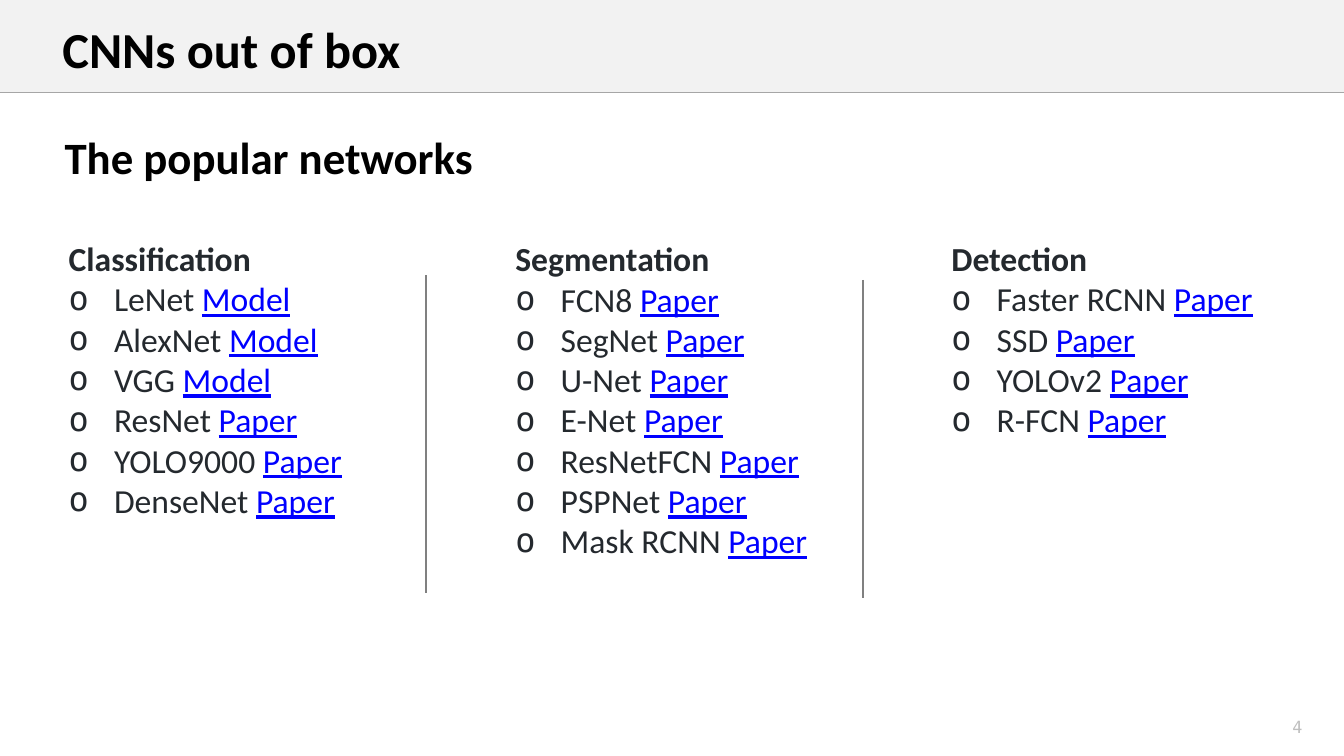
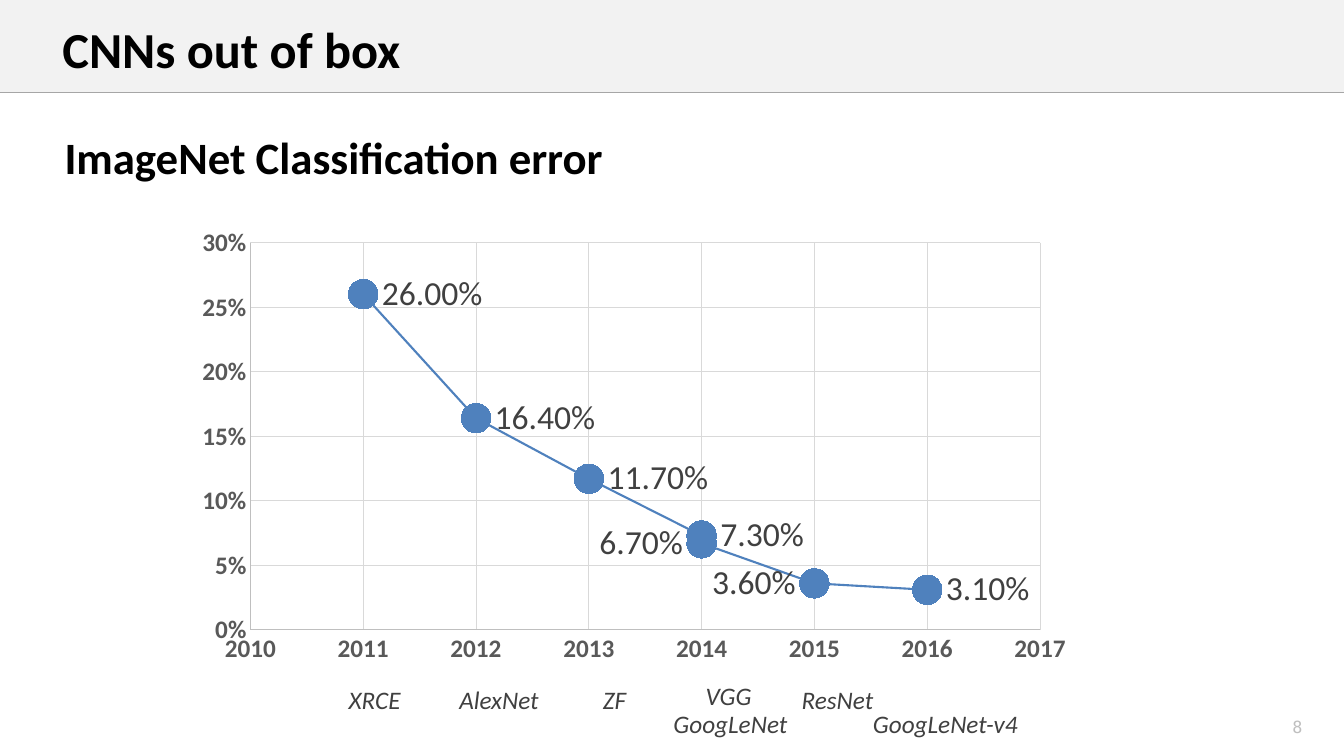
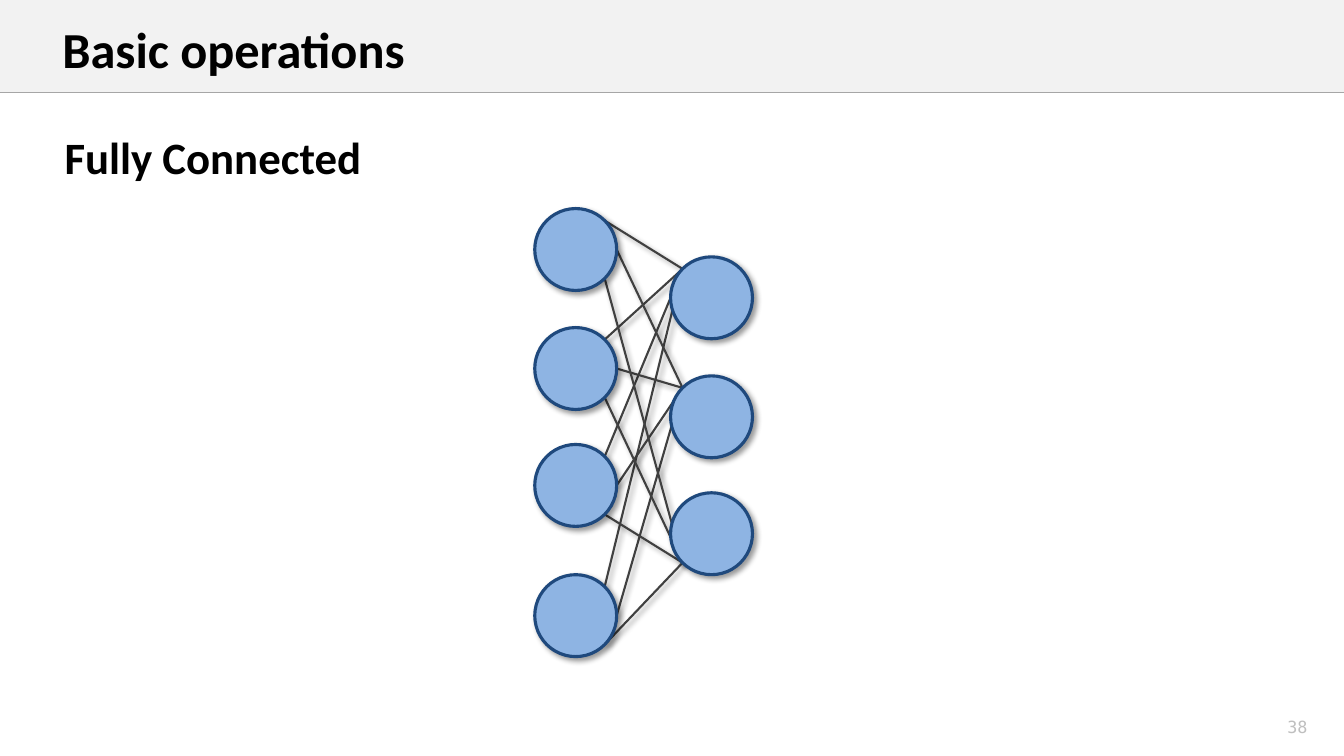
"""Build three slides on convolutional networks: a list, an error chart and a layer diagram."""
import pptx
import pptx.chart.data
import pptx.dml.color
import pptx.enum.chart
import pptx.enum.shapes
import pptx.enum.text
import pptx.oxml
import pptx.oxml.ns
import pptx.util

Pt = pptx.util.Pt
rgb = pptx.dml.color.RGBColor.from_string
qn = pptx.oxml.ns.qn
nsdecls = pptx.oxml.ns.nsdecls
parse_xml = pptx.oxml.parse_xml
FONT = "Calibri"
MONO = "DejaVu Sans Mono"
BLACK, INK, GREY, LINK = "000000", "24292E", "404040", "0000FF"
BLUE = "4F81BD"


def add_text(s, text, left, top, width, height, size, color, font=FONT, bold=False, italic=False):
    sp = s.shapes.add_textbox(Pt(left), Pt(top), Pt(width), Pt(height))
    sp.text_frame.word_wrap = True
    p = sp.text_frame.paragraphs[0]
    p.text = text
    f = p.runs[0].font
    f.name, f.size, f.bold, f.italic = font, Pt(size), bold, italic
    f.color.rgb = rgb(color)
    return sp


def add_line(s, x1, y1, x2, y2, color, width):
    sp = s.shapes.add_connector(pptx.enum.shapes.MSO_CONNECTOR.STRAIGHT, Pt(x1), Pt(y1), Pt(x2), Pt(y2))
    sp.line.color.rgb = rgb(color)
    sp.line.width = Pt(width)
    sp.element.spPr.append(parse_xml(f"<a:effectLst {nsdecls('a')}/>"))
    return sp


prs = pptx.Presentation()
prs.slide_width, prs.slide_height = Pt(960), Pt(540)

slides = []
for title, heading, number in [
    ("CNNs out of box", "The popular networks", "4"),
    ("CNNs out of box", "ImageNet Classification error", "8"),
    ("Basic operations", "Fully Connected", "38"),
]:
    s = prs.slides.add_slide(prs.slide_layouts[6])
    band = s.shapes.add_shape(pptx.enum.shapes.MSO_SHAPE.RECTANGLE, 0, 0, Pt(960), Pt(66))
    band.shadow.inherit = False
    band.fill.solid()
    band.fill.fore_color.rgb = rgb("F2F2F2")
    band.line.fill.background()
    add_line(s, 0, 66, 960, 66, "A6A6A6", 1)
    add_text(s, title, 37.5, 9.5, 856, 51, 36, BLACK, bold=True)
    add_text(s, heading, 39, 89, 605.5, 46, 32, BLACK, bold=True)
    sp = add_text(s, number, 895.5, 508, 62.5, 22.5, 12, "BFBFBF", font=MONO)
    sp.text_frame.vertical_anchor = pptx.enum.text.MSO_ANCHOR.MIDDLE
    sp.text_frame.paragraphs[0].alignment = pptx.enum.text.PP_ALIGN.CENTER
    slides.append(s)

s = slides[0]
columns = [
    (42, 260, "Classification", [("LeNet", "Model"), ("AlexNet", "Model"), ("VGG", "Model"),
                                 ("ResNet", "Paper"), ("YOLO9000", "Paper"), ("DenseNet", "Paper")]),
    (361, 245, "Segmentation", [(name, "Paper") for name in (
        "FCN8", "SegNet", "U-Net", "E-Net", "ResNetFCN", "PSPNet", "Mask RCNN")]),
    (672.5, 260.5, "Detection", [(name, "Paper") for name in ("Faster RCNN", "SSD", "YOLOv2", "R-FCN")]),
]
for left, width, task, networks in columns:
    sp = add_text(s, task, left, 166.5, width, 36 + 29 * len(networks), 24, INK, bold=True)
    for network, link in networks:
        p = sp.text_frame.add_paragraph()
        pPr = p._p.get_or_add_pPr()
        pPr.set("marL", str(Pt(32.4)))
        pPr.set("indent", str(-Pt(32.4)))
        pPr.append(parse_xml(f'<a:buFont {nsdecls("a")} typeface="{MONO}"/>'))
        pPr.append(parse_xml(f'<a:buChar {nsdecls("a")} char="o"/>'))
        for text, color in ((network + " ", INK), (link, LINK)):
            r = p.add_run()
            r.text = text
            r.font.name, r.font.size = FONT, Pt(24)
            r.font.color.rgb = rgb(color)
            r.font.underline = color == LINK
for x, top in ((304.5, 196.5), (616.5, 200)):
    add_line(s, x, top, x, top + 227, "808080", 1.5)

s = slides[1]
data = pptx.chart.data.XyChartData(number_format="0.00%")
series = data.add_series("Series 1")
for year, error in [(2011, 0.26), (2012, 0.164), (2013, 0.117), (2014, 0.073),
                    (2014, 0.067), (2015, 0.036), (2016, 0.031)]:
    series.add_data_point(year, error)
chart = s.shapes.add_chart(pptx.enum.chart.XL_CHART_TYPE.XY_SCATTER_LINES,
                           Pt(134), Pt(157), Pt(641), Pt(325.5), data).chart
chart.has_legend = chart.has_title = False
chart.font.name, chart.font.size = FONT, Pt(10)
chart.font.color.rgb = rgb(BLACK)
for axis, low, high, step, code in ((chart.category_axis, 2010, 2017, 1, "General"),
                                    (chart.value_axis, 0, 0.3, 0.05, "0%")):
    axis.minimum_scale, axis.maximum_scale, axis.major_unit = low, high, step
    axis.major_tick_mark = axis.minor_tick_mark = pptx.enum.chart.XL_TICK_MARK.NONE
    axis.has_major_gridlines = True
    for line, color in ((axis.format.line, "BFBFBF"), (axis.major_gridlines.format.line, "D9D9D9")):
        line.color.rgb = rgb(color)
        line.width = Pt(0.75)
    labels = axis.tick_labels
    labels.number_format, labels.number_format_is_linked = code, False
    labels.font.name, labels.font.size, labels.font.bold = FONT, Pt(18), True
    labels.font.color.rgb = rgb("595959")

plot = chart.plots[0]
plot.vary_by_categories = False
errors = plot.series[0]
errors.format.line.color.rgb = rgb(BLUE)
errors.format.line.width = Pt(1.5)
errors.marker.style = pptx.enum.chart.XL_MARKER_STYLE.CIRCLE
errors.marker.size = 21
errors.marker.format.fill.solid()
errors.marker.format.fill.fore_color.rgb = rgb(BLUE)
errors.marker.format.line.color.rgb = rgb(BLUE)
RIGHT, LEFT = pptx.enum.chart.XL_LABEL_POSITION.RIGHT, pptx.enum.chart.XL_LABEL_POSITION.LEFT
for i, position in enumerate((RIGHT, RIGHT, RIGHT, RIGHT, LEFT, LEFT, RIGHT)):
    label = errors.points[i].data_label
    label.position = position
    label.font.name, label.font.size = FONT, Pt(24)
    label.font.color.rgb = rgb(GREY)

area = chart.element.find(qn("c:chart")).find(qn("c:plotArea"))
for layout in area.findall(qn("c:layout")):
    area.remove(layout)
area.insert(0, parse_xml(
    f'<c:layout {nsdecls("c")}><c:manualLayout><c:layoutTarget val="inner"/>'
    '<c:xMode val="edge"/><c:yMode val="edge"/><c:x val="0.07"/><c:y val="0.05"/>'
    '<c:w val="0.88"/><c:h val="0.85"/></c:manualLayout></c:layout>'))

for network, left, top, width in [
    ("XRCE", 242, 485.5, 52), ("AlexNet", 321, 485.5, 73), ("ZF", 423.5, 485.5, 32),
    ("VGG", 497, 482.5, 47.5), ("GoogLeNet", 474, 502.5, 97), ("ResNet", 565.5, 485.5, 66),
    ("GoogLeNet-v4", 616.5, 502.5, 119.5),
]:
    sp = add_text(s, network, left, top, width, 29, 18, GREY, italic=True)
    sp.text_frame.word_wrap = False

s = slides[2]
radius, diagonal = 29.25, 20.68
input_x, output_x = 411.25, 508.25
input_ys = [178.25, 263.25, 346.75, 439.75]
output_ys = [212.75, 297.75, 381.25]
starts = [(diagonal, -diagonal), (radius, 0), (diagonal, diagonal)]
network = []
for output_y, (dx, dy), end_dy in zip(output_ys, starts, (-diagonal, -diagonal, diagonal)):
    for input_y in input_ys:
        network.append(add_line(s, input_x + dx, input_y + dy,
                                output_x - diagonal, output_y + end_dy, GREY, 1.5))
for x, ys in ((input_x, input_ys), (output_x, output_ys)):
    for y in ys:
        sp = s.shapes.add_shape(pptx.enum.shapes.MSO_SHAPE.OVAL, Pt(x - radius), Pt(y - radius),
                                Pt(2 * radius), Pt(2 * radius))
        sp.shadow.inherit = False
        sp.fill.solid()
        sp.fill.fore_color.rgb = rgb("8EB4E3")
        sp.line.color.rgb = rgb("1F497D")
        sp.line.width = Pt(2.25)
        network.append(sp)
for sp in network:
    sp.element.spPr.find(qn("a:effectLst")).append(parse_xml(
        f'<a:outerShdw {nsdecls("a")} blurRad="{Pt(4)}" dist="{Pt(3)}" dir="2700000" algn="tl" rotWithShape="0">'
        f'<a:srgbClr val="{BLACK}"><a:alpha val="40000"/></a:srgbClr></a:outerShdw>'))

prs.save("out.pptx")
